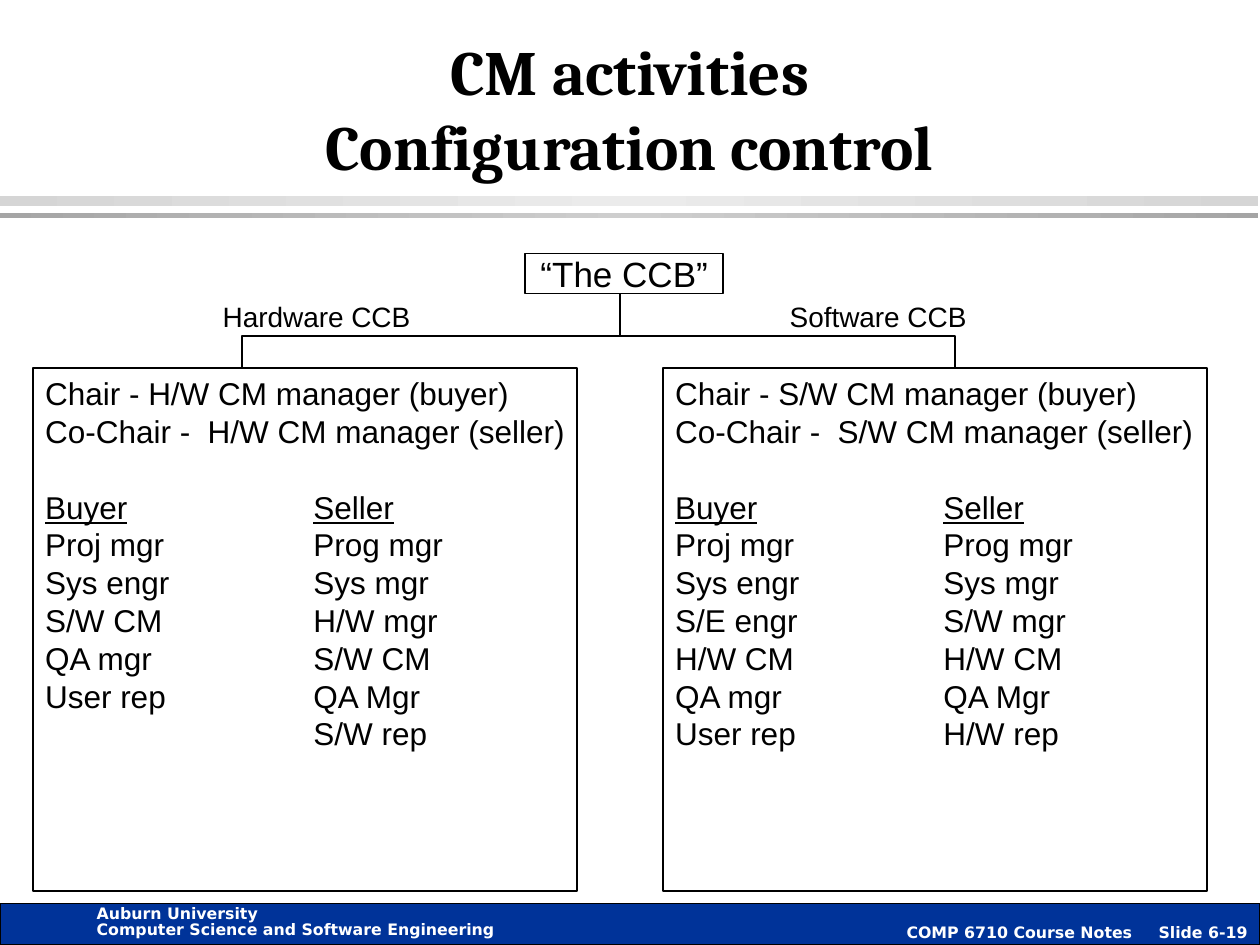
from lxml import etree
from pptx import Presentation
from pptx import util as u
from pptx.dml.color import RGBColor
from pptx.enum import shapes, text
from pptx.oxml.ns import qn

COLORS = {
    "black": "000000",
    "white": "FFFFFF",
    "footer": "003399",
    "light_edge": "D5D5D5",
    "light_middle": "EBEBEB",
    "dark_edge": "A5A5A5",
    "dark_middle": "CECECE",
}
HARDWARE_MEMBERS = [
    "Chair - H/W CM manager (buyer)",
    "Co-Chair -  H/W CM manager (seller)",
    "Buyer\tSeller",
    "Proj mgr\tProg mgr",
    "Sys engr\tSys mgr",
    "S/W CM\tH/W mgr",
    "QA mgr\tS/W CM",
    "User rep\tQA Mgr",
    "\tS/W rep",
]
SOFTWARE_MEMBERS = [
    "Chair - S/W CM manager (buyer)",
    "Co-Chair -  S/W CM manager (seller)",
    "Buyer\tSeller",
    "Proj mgr\tProg mgr",
    "Sys engr\tSys mgr",
    "S/E engr\tS/W mgr",
    "H/W CM\tH/W CM",
    "QA mgr\tQA Mgr",
    "User rep\tH/W rep",
]


def color(name):
    return RGBColor.from_string(COLORS[name])


def add_box(slide, left, top, width, height, fill=None, line_width=None):
    shape = slide.shapes.add_shape(
        shapes.MSO_SHAPE.RECTANGLE, u.Cm(left), u.Cm(top), u.Cm(width), u.Cm(height))
    shape.shadow.inherit = False
    if fill:
        shape.fill.solid()
        shape.fill.fore_color.rgb = color(fill)
    else:
        shape.fill.background()
    if line_width:
        shape.line.color.rgb = color("black")
        shape.line.width = u.Pt(line_width)
    else:
        shape.line.fill.background()
    return shape


def add_gradient_bar(slide, top, height, edge, middle):
    bar = add_box(slide, 0, top, 25.37, height)
    bar.fill.gradient()
    bar.fill.gradient_angle = 0
    stop_list = bar.fill._fill._gradFill.find(qn("a:gsLst"))
    for stop in list(stop_list):
        stop_list.remove(stop)
    for position, name in ((0, edge), (50000, middle), (100000, edge)):
        stop = etree.SubElement(stop_list, qn("a:gs"), pos=str(position))
        etree.SubElement(stop, qn("a:srgbClr"), val=COLORS[name])


def write_text(shape, content, size, font="Arial", name="black", bold=False,
               align=text.PP_ALIGN.LEFT, anchor=text.MSO_ANCHOR.TOP, wrap=False):
    frame = shape.text_frame
    frame.text = content
    frame.word_wrap = wrap
    frame.vertical_anchor = anchor
    for paragraph in frame.paragraphs:
        paragraph.alignment = align
        for run in paragraph.runs:
            run.font.size = u.Pt(size)
            run.font.name = font
            run.font.bold = bold
            run.font.color.rgb = color(name)
    return frame


def add_label(slide, left, top, width, height, content, size, **style):
    label = slide.shapes.add_textbox(u.Cm(left), u.Cm(top), u.Cm(width), u.Cm(height))
    return write_text(label, content, size, wrap=True, **style)


def add_member_box(slide, left, members):
    box = add_box(slide, left, 7.42, 10.97, 10.54, line_width=1)
    frame = write_text(box, "\n".join(members), 18)
    for paragraph in frame.paragraphs:
        paragraph.line_spacing = u.Pt(21.6)
        tabs = etree.SubElement(paragraph._p.get_or_add_pPr(), qn("a:tabLst"))
        etree.SubElement(tabs, qn("a:tab"), pos=str(u.Cm(5.41)), algn="l")
    heading = frame.paragraphs[2]
    heading.space_before = u.Pt(21.6)
    for run in heading.runs:
        run.font.underline = True


def add_branches(slide):
    left, right, middle = u.Cm(4.88), u.Cm(19.25), u.Cm(12.5)
    stem_top, bar_top, box_top = u.Cm(5.92), u.Cm(6.78), u.Cm(7.42)
    builder = slide.shapes.build_freeform(left, box_top)
    builder.add_line_segments(
        [(left, bar_top), (right, bar_top), (right, box_top)], close=False)
    bracket = builder.convert_to_shape()
    bracket.shadow.inherit = False
    bracket.fill.background()
    stem = slide.shapes.add_connector(
        shapes.MSO_CONNECTOR.STRAIGHT, middle, bar_top, middle, stem_top)
    etree.SubElement(stem._element.spPr, qn("a:effectLst"))
    for shape in (bracket, stem):
        shape.line.color.rgb = color("black")
        shape.line.width = u.Pt(1)


def add_footer(slide):
    style = dict(font="DejaVu Sans", name="white", bold=True)
    bar = add_box(slide, 0, 18.21, 25.4, 0.84, fill="footer", line_width=0.75)
    frame = write_text(bar, "COMP 6710 Course Notes\tSlide 6-19", 9,
                       align=text.PP_ALIGN.RIGHT, anchor=text.MSO_ANCHOR.BOTTOM, **style)
    frame.margin_bottom = u.Cm(0.06)
    school = add_label(slide, 1.7, 18.16, 8.53, 0.89,
                       "Auburn University\nComputer Science and Software Engineering", 9, **style)
    for paragraph in school.paragraphs:
        paragraph.line_spacing = u.Pt(9)


def main():
    presentation = Presentation()
    presentation.slide_width, presentation.slide_height = u.Cm(25.4), u.Cm(19.05)
    slide = presentation.slides.add_slide(presentation.slide_layouts[6])
    add_gradient_bar(slide, 3.96, 0.2, "light_edge", "light_middle")
    add_gradient_bar(slide, 4.29, 0.1, "dark_edge", "dark_middle")
    add_footer(slide)
    add_label(slide, 1.9, 0.64, 21.59, 3.18, "CM activities\vConfiguration control", 36,
              font="Cambria", bold=True, align=text.PP_ALIGN.CENTER,
              anchor=text.MSO_ANCHOR.BOTTOM)
    board = add_box(slide, 10.59, 5.11, 3.99, 0.81, line_width=1)
    write_text(board, "“The CCB”", 20, align=text.PP_ALIGN.CENTER,
               anchor=text.MSO_ANCHOR.MIDDLE)
    add_member_box(slide, 0.66, HARDWARE_MEMBERS)
    add_member_box(slide, 13.36, SOFTWARE_MEMBERS)
    add_branches(slide)
    add_label(slide, 15.67, 5.92, 4.9, 0.94, "Software CCB", 16)
    add_label(slide, 4.24, 5.92, 4.9, 0.94, "Hardware CCB", 16)
    presentation.save("out.pptx")


if __name__ == "__main__":
    main()
